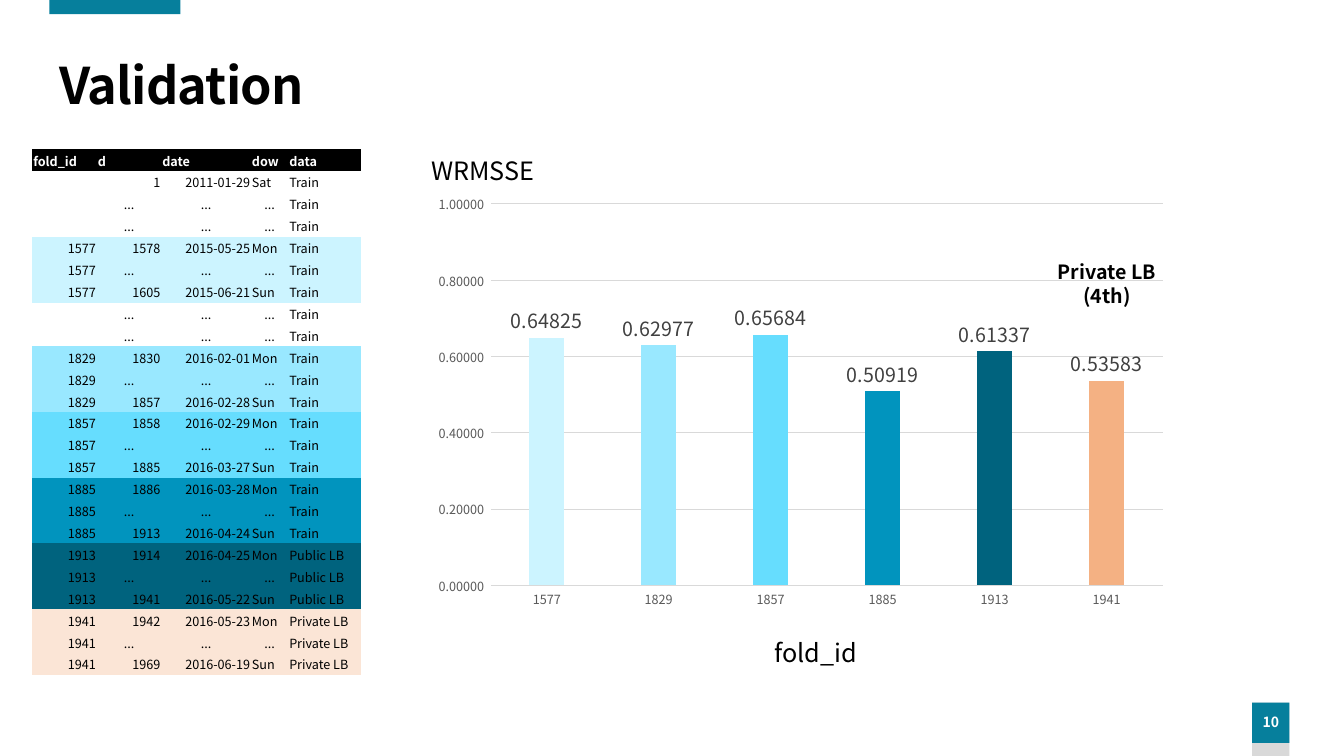
import pptx
import pptx.chart.data
import pptx.dml.color
import pptx.enum.chart
import pptx.enum.shapes
import pptx.enum.text
import pptx.oxml.ns
import pptx.util
from dataclasses import dataclass

Inches = pptx.util.Inches
Align = pptx.enum.text.PP_ALIGN
Anchor = pptx.enum.text.MSO_ANCHOR


@dataclass(frozen=True)
class Theme:
    font: str = "Noto Sans CJK JP"
    black: str = "000000"
    white: str = "FFFFFF"
    accent: str = "067F9C"
    grey: str = "D9D9D9"
    axis_text: str = "595959"
    label_text: str = "404040"
    series: str = "01C6FD"
    private_bar: str = "F4B183"
    private_rows: str = "FBE5D6"
    folds: tuple = ("CCF4FF", "99E8FF", "66DDFE", "0194BE", "00637E")
    title_size: int = 36
    caption_size: int = 18
    label_size: int = 14
    page_size: int = 10
    small_size: int = 9


THEME = Theme()
NO_TABLE_STYLE = "{2D5ABB26-0587-4C30-8999-92F81FD0307C}"

# fold_id, first date, last date, data, WRMSSE
FOLDS = [
    (1577, "2015-05-25", "2015-06-21", "Train", 0.64825),
    (1829, "2016-02-01", "2016-02-28", "Train", 0.62977),
    (1857, "2016-02-29", "2016-03-27", "Train", 0.65684),
    (1885, "2016-03-28", "2016-04-24", "Train", 0.50919),
    (1913, "2016-04-25", "2016-05-22", "Public LB", 0.61337),
    (1941, "2016-05-23", "2016-06-19", "Private LB", 0.53583),
]
FOLD_DAYS = 28


def rgb(color):
    return pptx.dml.color.RGBColor.from_string(color)


def style_font(font, size, color, bold=False):
    font.name, font.size, font.bold = THEME.font, pptx.util.Pt(size), bold
    font.color.rgb = rgb(color)


def write_text(frame, text, size, color=THEME.black, bold=False, align=Align.LEFT,
               anchor=Anchor.TOP, line_spacing=None, tracking=None):
    frame.word_wrap = True
    frame.vertical_anchor = anchor
    for index, line in enumerate(text.split("\n")):
        para = frame.add_paragraph() if index else frame.paragraphs[0]
        para.alignment = align
        if line_spacing:
            para.line_spacing = line_spacing
        if not line:
            # An empty line keeps the small type size so its row stays low
            para._p.get_or_add_endParaRPr().set("sz", str(size * 100))
            continue
        span = para.add_run()
        span.text = line
        style_font(span.font, size, color, bold)
        if tracking:
            span.font._element.set("spc", str(round(tracking * 100)))


def add_text(page, box, text, size, **text_format):
    shape = page.shapes.add_textbox(*map(Inches, box))
    write_text(shape.text_frame, text, size, **text_format)


def add_block(page, box, color):
    block = page.shapes.add_shape(
        pptx.enum.shapes.MSO_SHAPE.RECTANGLE, *map(Inches, box))
    block.shadow.inherit = False
    block.fill.solid()
    block.fill.fore_color.rgb = rgb(color)
    block.line.fill.background()
    return block


def add_frame(page, box):
    left, top, width, height = box
    # Page number at the lower right, accent bar at the top
    number_box = (left + width - 0.91, top + height - 0.53, 0.37)
    add_block(page, (*number_box, 0.53), THEME.grey)
    number = add_block(page, (*number_box, 0.4), THEME.accent)
    number.text_frame.margin_left = number.text_frame.margin_right = 0
    write_text(number.text_frame, "10", THEME.page_size, color=THEME.white, bold=True,
               align=Align.CENTER, anchor=Anchor.MIDDLE, line_spacing=0.9)
    add_block(page, (left + 0.49, top, 1.3, 0.14), THEME.accent)


def fold_rows():
    gap = ("", "...", "...", "...", "Train")
    rows = [(("", "1", "2011-01-29", "Sat", "Train"), None), (gap, None), (gap, None)]
    for index, (fold, first, last, data, _) in enumerate(FOLDS):
        color = (*THEME.folds, THEME.private_rows)[index]
        if index == 1:
            rows += [(gap, None)] * 2
        rows += [
            ((str(fold), str(fold + 1), first, "Mon", data), color),
            ((str(fold), "...", "...", "...", data), color),
            ((str(fold), str(fold + FOLD_DAYS), last, "Sun", data), color),
        ]
    return rows


def add_fold_table(page, box):
    headings = ("fold_id", "d", "date", "dow", "data")
    rows = [(headings, THEME.black), *fold_rows()]
    table = page.shapes.add_table(len(rows), len(headings), *map(Inches, box)).table
    table.first_row = table.horz_banding = False
    table._tbl.tblPr.find(pptx.oxml.ns.qn("a:tableStyleId")).text = NO_TABLE_STYLE
    for column, width in zip(table.columns, (0.64, 0.64, 0.89, 0.37, 0.72)):
        column.width = Inches(width)
    for row_index, (values, color) in enumerate(rows):
        table.rows[row_index].height = Inches(box[3] / len(rows))
        heading = row_index == 0
        for column_index, value in enumerate(values):
            cell = table.cell(row_index, column_index)
            cell.margin_left = cell.margin_right = cell.margin_top = Inches(0.01)
            cell.margin_bottom = 0
            cell.vertical_anchor = Anchor.MIDDLE
            if color:
                cell.fill.solid()
                cell.fill.fore_color.rgb = rgb(color)
            else:
                cell.fill.background()
            align = Align.LEFT
            if value == "...":
                align = Align.CENTER
            elif column_index < 3 and not heading:
                align = Align.RIGHT
            write_text(cell.text_frame, value, THEME.small_size, bold=heading, align=align,
                       color=THEME.white if heading else THEME.black, anchor=None)


def style_axis(axis):
    axis.major_tick_mark = axis.minor_tick_mark = pptx.enum.chart.XL_TICK_MARK.NONE
    style_font(axis.tick_labels.font, THEME.small_size, THEME.axis_text)


def style_line(line):
    line.color.rgb = rgb(THEME.grey)
    line.width = pptx.util.Pt(0.75)


def add_score_chart(page, box):
    left, top, width, height = box
    data = pptx.chart.data.CategoryChartData()
    data.categories = [str(fold[0]) for fold in FOLDS]
    data.add_series("Series 1", [fold[-1] for fold in FOLDS])
    chart = page.shapes.add_chart(
        pptx.enum.chart.XL_CHART_TYPE.COLUMN_CLUSTERED, *map(Inches, box), data).chart
    chart.has_legend = chart.has_title = False
    style_font(chart.font, THEME.page_size, THEME.black)

    # Axes
    style_axis(chart.category_axis)
    style_line(chart.category_axis.format.line)
    scale = chart.value_axis
    style_axis(scale)
    scale.format.line.fill.background()
    scale.minimum_scale, scale.maximum_scale, scale.major_unit = 0, 1, 0.2
    scale.tick_labels.number_format = "0.00000_ "
    scale.tick_labels.number_format_is_linked = False
    style_line(scale.major_gridlines.format.line)

    # Columns, one colour per fold
    plot = chart.plots[0]
    plot.gap_width, plot.overlap, plot.vary_by_categories = 219, -27, False
    series = plot.series[0]
    series.format.fill.solid()
    series.format.fill.fore_color.rgb = rgb(THEME.series)
    for index, color in enumerate((*THEME.folds, THEME.private_bar)):
        fill = series.points[index].format.fill
        fill.solid()
        fill.fore_color.rgb = rgb(color)
    labels = series.data_labels
    labels.show_value = True
    labels.number_format, labels.number_format_is_linked = "0.00000", False
    labels.position = pptx.enum.chart.XL_LABEL_POSITION.OUTSIDE_END
    style_font(labels.font, THEME.label_size, THEME.label_text)

    # Captions around the chart
    add_text(page, (left + 3.38, top + height + 0.16, 1.44, 0.4), "fold_id",
             THEME.caption_size)
    add_text(page, (left - 0.02, top - 0.36, 1.44, 0.4), "WRMSSE", THEME.caption_size)
    add_text(page, (left + 6.06, top + 0.68, 1.44, 0.57), "Private LB\n(4th)",
             THEME.label_size, bold=True, align=Align.CENTER)


def add_validation_page(deck):
    page = deck.slides.add_slide(deck.slide_layouts[6])
    add_frame(page, (0, 0, 13.33, 7.5))
    add_text(page, (0.49, 0.55, 12.22, 0.65), "Validation", THEME.title_size, bold=True,
             anchor=Anchor.MIDDLE, line_spacing=0.9, tracking=-0.6)
    add_score_chart(page, (4.2, 1.85, 7.48, 4.26))
    add_fold_table(page, (0.32, 1.48, 3.26, 5.22))


def main():
    deck = pptx.Presentation()
    deck.slide_width, deck.slide_height = Inches(13.33), Inches(7.5)
    add_validation_page(deck)
    deck.save("out.pptx")


if __name__ == "__main__":
    main()
